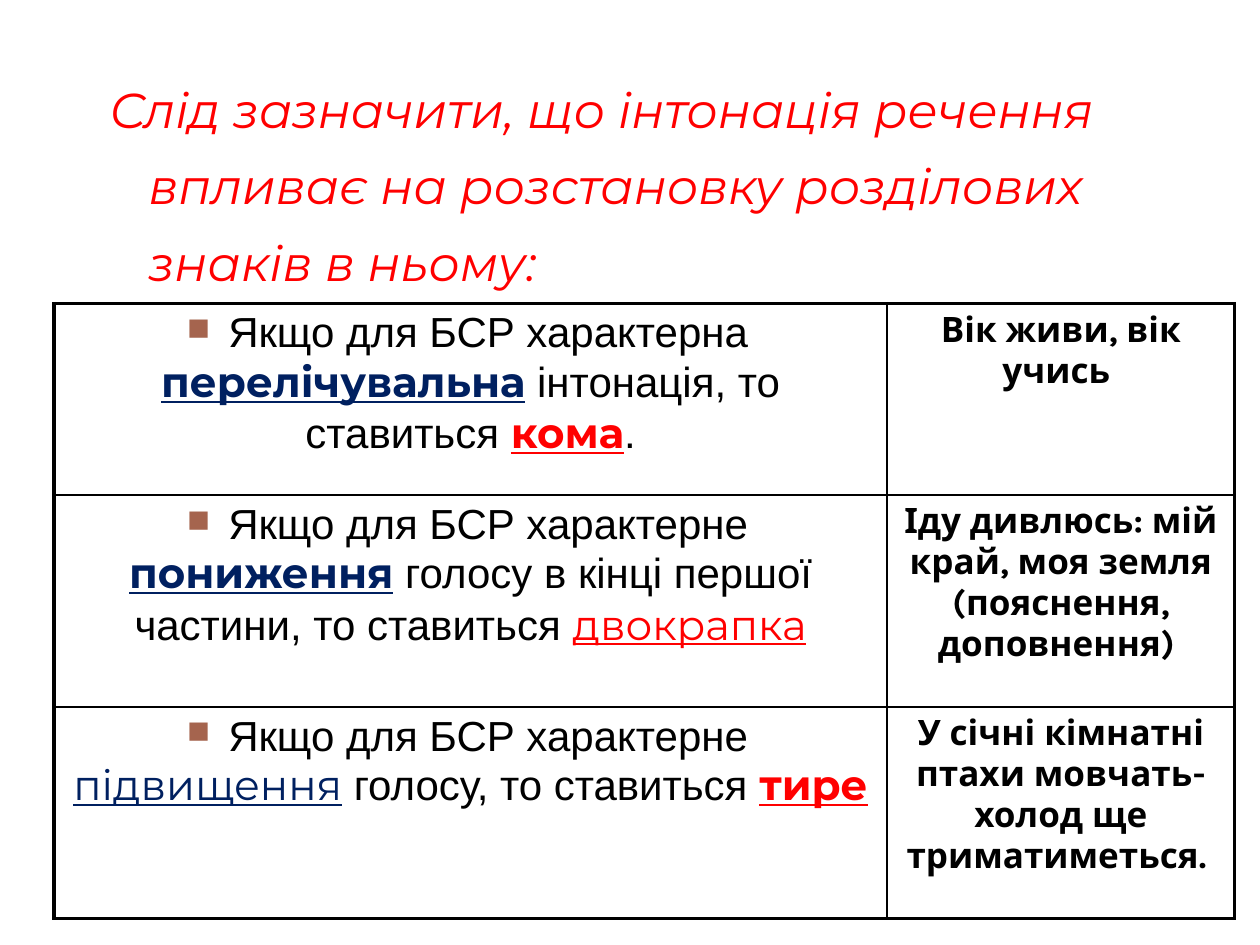
from lxml.etree import SubElement
from pptx import Presentation
from pptx.dml.color import RGBColor
from pptx.enum.text import MSO_ANCHOR, MSO_AUTO_SIZE, PP_ALIGN
from pptx.oxml.ns import qn
from pptx.util import Inches, Pt

BLACK, RED, NAVY, BROWN = "000000", "FF0000", "002060", "A5644E"
COLUMNS = [6.61, 2.76]
ROWS = [1.52, 1.68, 1.68]
THICK, THIN = 2.25, 1

PLAIN = dict(size=24, font="Arial")
FEATURE = dict(size=24, font="Montserrat", color=NAVY, underline=True)
SIGN = dict(FEATURE, color=RED)
EXAMPLE = dict(size=20, font="Karla", bold=True)

HEADING = ("Слід зазначити, що інтонація речення впливає на розстановку "
           "розділових знаків в ньому:")
RULES = [
    ([(" Якщо для БСР характерна ", PLAIN),
      ("перелічувальна", dict(FEATURE, bold=True)),
      (" інтонація, то ставиться ", PLAIN),
      ("кома", dict(SIGN, bold=True)),
      (".", PLAIN)],
     "Вік живи, вік учись "),
    ([(" Якщо для БСР характерне ", PLAIN),
      ("пониження", dict(FEATURE, bold=True)),
      (" голосу в кінці першої частини, то ставиться ", PLAIN),
      ("двокрапка", SIGN)],
     "Іду дивлюсь: мій край, моя земля (пояснення, доповнення) "),
    ([(" Якщо для БСР характерне ", PLAIN),
      ("підвищення", FEATURE),
      (" голосу, то ставиться ", PLAIN),
      ("тире", dict(SIGN, bold=True))],
     "У січні кімнатні птахи мовчать-холод ще триматиметься. "),
]


def rgb(color):
    return RGBColor.from_string(color)


def add_span(para, text, size, font, color=BLACK, bold=False, italic=False,
             underline=False):
    span = para.add_run()
    span.text = text
    span.font.size = Pt(size)
    span.font.name = font
    span.font.color.rgb = rgb(color)
    span.font.bold = bold
    span.font.italic = italic
    span.font.underline = underline


def add_bullet(para):
    properties = para._p.get_or_add_pPr()
    color = SubElement(properties, qn("a:buClr"))
    SubElement(color, qn("a:srgbClr"), val=BROWN)
    SubElement(properties, qn("a:buSzPct"), val="75000")
    SubElement(properties, qn("a:buChar"), char="■")


def set_borders(cell, widths):
    """Draw black borders; widths holds points for the L, R, T and B sides."""
    properties = cell._tc.get_or_add_tcPr()
    for index, (side, width) in enumerate(widths.items()):
        line = SubElement(properties, qn(f"a:ln{side}"), w=str(Pt(width)))
        fill = SubElement(line, qn("a:solidFill"))
        SubElement(fill, qn("a:srgbClr"), val=BLACK)
        properties.insert(index, line)


def fill_cell(cell, spans, bulleted=False):
    cell.fill.background()
    para = cell.text_frame.paragraphs[0]
    para.alignment = PP_ALIGN.CENTER
    para.space_before = Pt(0.2 * spans[0][1]["size"])
    if bulleted:
        add_bullet(para)
    for text, style in spans:
        add_span(para, text, **style)


def set_heading(page):
    box = page.shapes.title
    box.left, box.top = Inches(0.27), Inches(0.44)
    box.width, box.height = Inches(9.73), Inches(7.06)
    frame = box.text_frame
    frame.word_wrap = True
    frame.auto_size = MSO_AUTO_SIZE.NONE
    frame.vertical_anchor = MSO_ANCHOR.TOP
    para = frame.paragraphs[0]
    para.alignment = PP_ALIGN.LEFT
    para.line_spacing = 1.3
    para.space_before = Pt(5.6)
    properties = para._p.get_or_add_pPr()
    properties.set("marL", str(Inches(0.81)))
    properties.set("indent", str(Inches(-0.31)))
    add_span(para, HEADING, 28, "Montserrat", RED, italic=True)


def add_rules_table(page):
    table = page.shapes.add_table(
        len(ROWS), len(COLUMNS), Inches(0.43), Inches(2.41),
        Inches(sum(COLUMNS)), Inches(sum(ROWS))).table
    table.first_row = table.horz_banding = False
    for column, width in zip(table.columns, COLUMNS):
        column.width = Inches(width)
    for row, height in zip(table.rows, ROWS):
        row.height = Inches(height)
    for index, (rule, example) in enumerate(RULES):
        top = THICK if index == 0 else THIN
        bottom = THICK if index == len(RULES) - 1 else THIN
        left_cell, right_cell = table.rows[index].cells
        fill_cell(left_cell, rule, bulleted=True)
        fill_cell(right_cell, [(example, EXAMPLE)])
        set_borders(left_cell, dict(L=THICK, R=THIN, T=top, B=bottom))
        set_borders(right_cell, dict(L=THIN, R=THICK, T=top, B=bottom))


def main():
    deck = Presentation()
    deck.slide_width, deck.slide_height = Inches(10), Inches(7.5)
    page = deck.slides.add_slide(deck.slide_layouts[5])
    set_heading(page)
    add_rules_table(page)
    deck.save("out.pptx")


if __name__ == "__main__":
    main()
